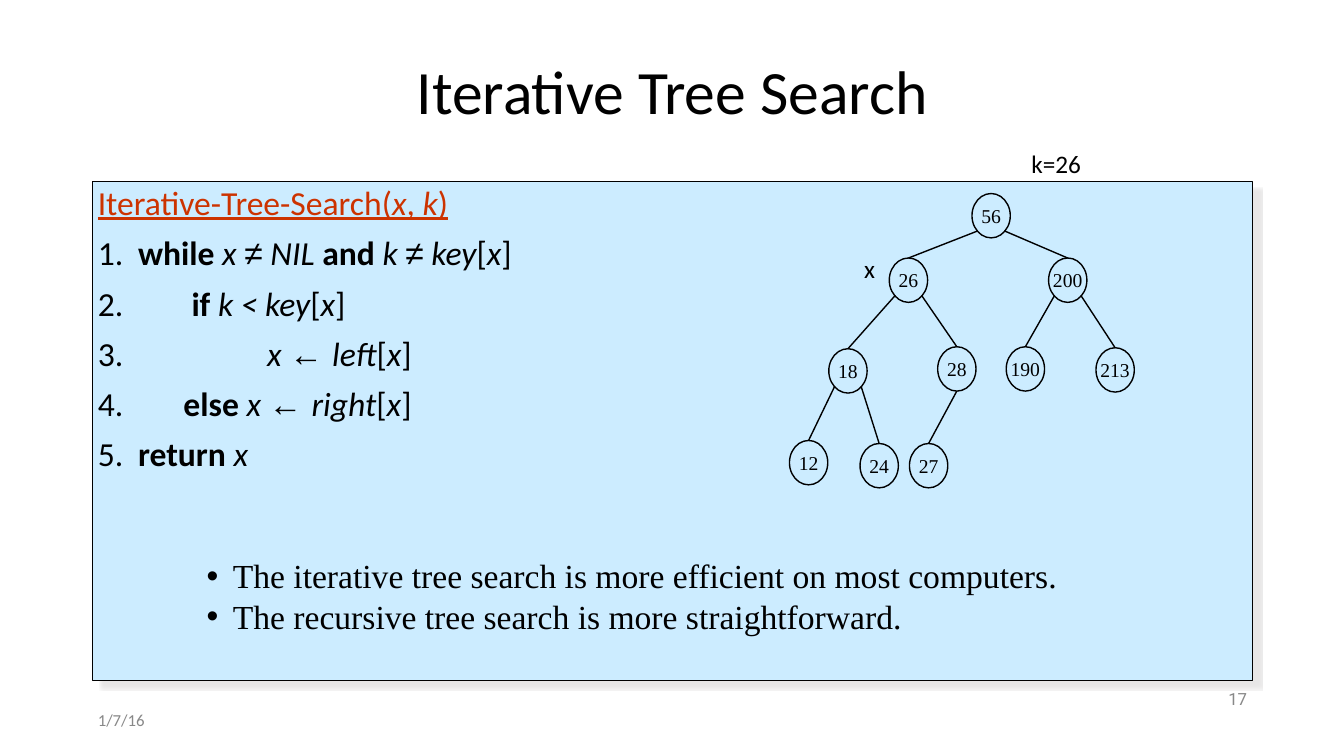
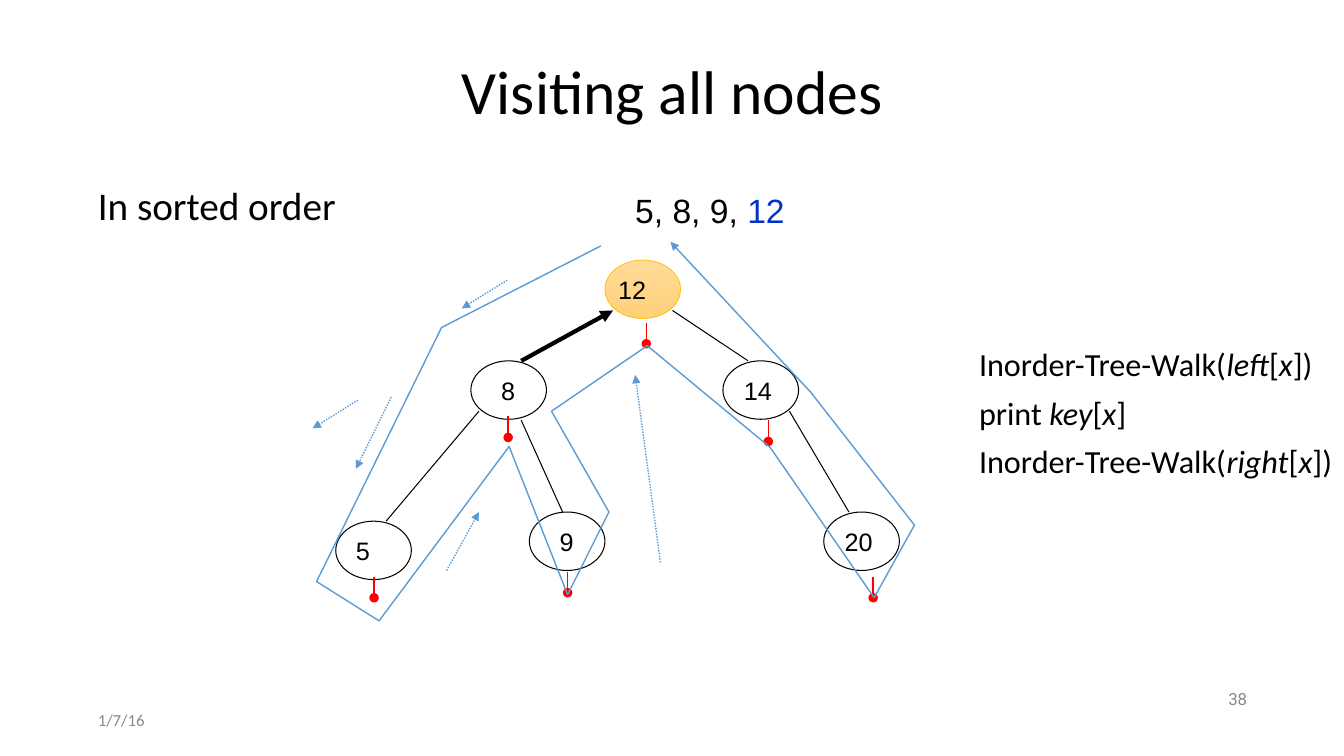
from lxml.etree import SubElement
from pptx import Presentation
from pptx.dml.color import RGBColor
from pptx.enum.dml import MSO_LINE
from pptx.enum.shapes import MSO_CONNECTOR, MSO_SHAPE
from pptx.enum.text import MSO_ANCHOR, PP_ALIGN
from pptx.oxml.ns import qn
from pptx.util import Pt

PX = 9144
BLACK = RGBColor(0x00, 0x00, 0x00)
GRAY = RGBColor(0x88, 0x88, 0x88)
PALE_BLUE = RGBColor(0xCC, 0xEC, 0xFF)
RUST = RGBColor(0xCC, 0x33, 0x00)
RED = RGBColor(0xFF, 0x00, 0x00)
DEEP_BLUE = RGBColor(0x00, 0x33, 0xCC)
ROUTE_BLUE = RGBColor(0x5B, 0x9B, 0xD5)
GOLD = RGBColor(0xFF, 0xC0, 0x00)
GOLD_TOP = RGBColor(0xFF, 0xDB, 0x9B)
GOLD_BOTTOM = RGBColor(0xFF, 0xD0, 0x78)
SANS, SERIF, ARIAL, ROBOTO = "Calibri", "Times New Roman", "Arial", "Roboto"


def px(*lengths):
    return [round(length * PX) for length in lengths]


def set_frame(shape, wrap=True, anchor=MSO_ANCHOR.TOP, insets=(5, 5, 5, 5)):
    frame = shape.text_frame
    frame.word_wrap = wrap
    frame.vertical_anchor = anchor
    (frame.margin_left, frame.margin_top,
     frame.margin_right, frame.margin_bottom) = px(*insets)
    return frame


def write(frame, lines, size, font=SANS, color=BLACK, align=PP_ALIGN.LEFT,
          spacing=None, before=0):
    for number, runs in enumerate(lines):
        paragraph = frame.add_paragraph() if number else frame.paragraphs[0]
        paragraph.alignment = align
        paragraph.space_before = Pt(before)
        if spacing:
            paragraph.line_spacing = spacing
        for text, flags, *own_color in runs:
            run = paragraph.add_run()
            run.text = text
            run.font.size = Pt(size)
            run.font.name = ARIAL if "a" in flags else font
            run.font.bold = "b" in flags
            run.font.italic = "i" in flags
            run.font.underline = "u" in flags
            run.font.color.rgb = own_color[0] if own_color else color


def add_text(slide, box, lines, size, wrap=True, anchor=MSO_ANCHOR.TOP, **style):
    textbox = slide.shapes.add_textbox(*px(*box))
    frame = set_frame(textbox, wrap, anchor)
    write(frame, lines, size, **style)
    return frame


def set_indent(paragraph, left, first, bullet=None):
    properties = paragraph._p.get_or_add_pPr()
    properties.set("marL", str(left * PX))
    properties.set("indent", str(first * PX))
    if bullet:
        SubElement(properties, qn("a:buFont")).set("typeface", ARIAL)
        SubElement(properties, qn("a:buChar")).set("char", bullet)


def add_shape(slide, kind, box, fill=None, line=BLACK, width=0.75):
    shape = slide.shapes.add_shape(kind, *px(*box))
    shape.shadow.inherit = False
    paint(shape, fill, line, width)
    return shape


def paint(shape, fill, line, width):
    if fill is None:
        shape.fill.background()
    else:
        shape.fill.solid()
        shape.fill.fore_color.rgb = fill
    shape.line.color.rgb = line
    shape.line.width = Pt(width)


def add_arrowhead(line):
    SubElement(line._get_or_add_ln(), qn("a:tailEnd")).set("type", "triangle")


def add_line(slide, start, end, color=BLACK, width=0.75, dotted=False, arrow=False):
    connector = slide.shapes.add_connector(MSO_CONNECTOR.STRAIGHT, *px(*start, *end))
    connector.line.color.rgb = color
    connector.line.width = Pt(width)
    if dotted:
        connector.line.dash_style = MSO_LINE.ROUND_DOT
    if arrow:
        add_arrowhead(connector.line)
    SubElement(connector._element.spPr, qn("a:effectLst"))
    return connector


def add_base(deck, title, number):
    slide = deck.slides.add_slide(deck.slide_layouts[6])
    add_text(slide, (92, 40, 1150, 107), [[(title, "")]], 44,
             anchor=MSO_ANCHOR.MIDDLE, align=PP_ALIGN.CENTER, spacing=0.9)
    add_text(slide, (92, 700, 300, 29), [[("1/7/16", "")]], 12,
             anchor=MSO_ANCHOR.MIDDLE, color=GRAY)
    add_text(slide, (942, 680, 300, 29), [[(number, "")]], 12, font=ROBOTO,
             anchor=MSO_ANCHOR.MIDDLE, color=GRAY, align=PP_ALIGN.RIGHT, spacing=0.9)
    return slide


def add_panel_shadow(panel):
    effects = panel._element.spPr.find(qn("a:effectLst"))
    shadow = SubElement(effects, qn("a:outerShdw"), dist="107950", dir="2700000",
                        blurRad="12700", algn="ctr", rotWithShape="0")
    SubElement(shadow, qn("a:srgbClr"), val="E7E6E6")


def add_code_panel(slide, box):
    panel = add_shape(slide, MSO_SHAPE.RECTANGLE, box, PALE_BLUE)
    add_panel_shadow(panel)
    heading = [("Iterative-Tree-Search(", "u", RUST), ("x", "iu", RUST),
               (", ", "u", RUST), ("k", "iu", RUST), (")", "u", RUST)]
    key_of_x = [("[", ""), ("x", "i"), ("]", "")]
    steps = [
        (40, [("while ", "b"), ("x ", "i"), ("≠", "a"), (" NIL ", "i"), ("and ", "b"),
              ("k ", "i"), ("≠", "a"), (" key", "i"), *key_of_x]),
        (93, [("if ", "b"), ("k < key", "i"), *key_of_x]),
        (168, [("x ", "i"), ("← ", "a"), ("left", "i"), *key_of_x]),
        (85, [("else ", "b"), ("x ", "i"), ("← ", "a"), ("right", "i"), *key_of_x]),
        (40, [("return ", "b"), ("x", "i")]),
    ]
    lines = [[(f"{number}.\t", ""), *runs]
             for number, (_, runs) in enumerate(steps, 1)]
    frame = set_frame(panel)
    write(frame, [heading, *lines], 24, spacing=0.9, before=10)
    for paragraph, (indent, _) in zip(frame.paragraphs[1:], steps):
        set_indent(paragraph, indent, -indent)


def add_remarks(slide, box):
    remarks = ["The iterative tree search is more efficient on most computers.",
               "The recursive tree search is more straightforward."]
    frame = add_text(slide, box, [[(remark, "")] for remark in remarks], 24, font=SERIF)
    for paragraph in frame.paragraphs:
        set_indent(paragraph, 26, -26, "•")


def add_search_tree(slide, left, top):
    width, height = 38, 44
    places = {"56": (181, 0), "26": (99, 64), "200": (257, 64), "18": (39, 154),
              "28": (147, 152), "190": (215, 152), "213": (304, 153),
              "12": (0, 245), "24": (70, 248), "27": (119, 248)}
    nodes = {}
    for key, (x, y) in places.items():
        node = add_shape(slide, MSO_SHAPE.OVAL, (left + x, top + y, width, height),
                         PALE_BLUE, width=1)
        frame = set_frame(node, False, MSO_ANCHOR.MIDDLE, (0, 0, 0, 0))
        write(frame, [[(key, "")]], 14, font=SERIF, align=PP_ALIGN.CENTER)
        nodes[key] = node

    exits = {"left": (6, 37), "right": (32, 37), "below": (19, 44)}
    edges = [("56", "left", "26"), ("56", "right", "200"), ("26", "left", "18"),
             ("26", "right", "28"), ("200", "left", "190"), ("200", "right", "213"),
             ("18", "left", "12"), ("18", "right", "24"), ("28", "below", "27")]
    for parent, side, child in edges:
        start = [left + places[parent][0] + exits[side][0],
                 top + places[parent][1] + exits[side][1]]
        edge = add_line(slide, start, (left + places[child][0], top), width=1)
        edge.end_connect(nodes[child], 0)

    add_text(slide, (left + 69, top + 54, 22, 41), [[("x", "")]], 18, wrap=False)
    add_text(slide, (left + 235, top - 50, 61, 41), [[("k=26", "")]], 18, wrap=False)


def add_walk_tree(slide, left, top):
    nodes = [("12", 267, 0, 2), ("8", 134, 100, 19), ("5", 0, 259, 9),
             ("9", 192, 250, 19), ("14", 384, 100, 10), ("20", 484, 250, 10)]
    for key, x, y, inset in nodes:
        node = add_shape(slide, MSO_SHAPE.OVAL, (left + x, top + y, 75, 58))
        if key == "12":
            node.fill.gradient()
            node.fill.gradient_angle = 270
            for stop, color in zip(node.fill.gradient_stops, (GOLD_TOP, GOLD_BOTTOM)):
                stop.color.rgb = color
            node.line.color.rgb = GOLD
            node.line.width = Pt(0.5)
        frame = set_frame(node, True, MSO_ANCHOR.MIDDLE, (inset, 0, 0, 0))
        write(frame, [[(key, "")]], 18, font=ARIAL)

    edges = [(50, 259, 142, 150), (184, 159, 225, 250),
             (334, 50, 409, 100), (450, 150, 509, 250)]
    for x1, y1, x2, y2 in edges:
        add_line(slide, (left + x1, top + y1), (left + x2, top + y2))
    add_line(slide, (left + 184, top + 100), (left + 275, top + 50), width=3, arrow=True)

    pins = [(308, 62), (171, 155), (230, 309), (38, 314), (429, 159), (533, 314)]
    for x, y in pins:
        add_line(slide, (left + x, top + y), (left + x, top + y + 17), RED, 1)
        add_shape(slide, MSO_SHAPE.OVAL, (left + x - 4, top + y + 17, 8, 8), RED, RED, 1)


def add_walk_route(slide, left, top):
    hints = [(41, 157, -4, 185), (341, 318, 316, 132), (189, 38, 144, 66),
             (74, 154, 39, 225), (129, 326, 161, 268)]
    for x1, y1, x2, y2 in hints:
        add_line(slide, (left + x1, top + y1), (left + x2, top + y2),
                 ROUTE_BLUE, 1, dotted=True, arrow=True)
    turns = [(282, 4), (124, 85), (0, 337), (62, 376), (191, 203), (249, 350),
             (290, 268), (233, 168), (328, 103), (450, 204), (553, 353),
             (593, 281), (490, 149), (351, 0)]
    points = [px(left + x, top + y) for x, y in turns]
    builder = slide.shapes.build_freeform(*points[0])
    builder.add_line_segments(points[1:], close=False)
    route = builder.convert_to_shape()
    route.shadow.inherit = False
    paint(route, None, ROUTE_BLUE, 1)
    add_arrowhead(route.line)


def add_walk_code(slide, box):
    def call(side):
        return [("Inorder-Tree-Walk(", ""), (side, "i"), ("[", ""), ("x", "i"), ("])", "")]

    show = [("print ", ""), ("key", "i"), ("[", ""), ("x", "i"), ("]", "")]
    add_text(slide, box, [call("left"), show, call("right")], 23,
             wrap=False, spacing=0.9, before=10)


def build_search_slide(deck):
    slide = add_base(deck, "Iterative Tree Search", "17")
    add_code_panel(slide, (92, 180, 1150, 495))
    add_remarks(slide, (200, 546, 917, 84))
    add_search_tree(slide, 783, 192)


def build_walk_slide(deck):
    slide = add_base(deck, "Visiting all nodes", "38")
    add_text(slide, (92, 180, 280, 72), [[("In sorted order", "")]], 28,
             spacing=0.9, before=10)
    add_text(slide, (625, 183, 442, 48), [[("5, 8, 9, ", ""), ("12", "", DEEP_BLUE)]],
             24, font=ARIAL, before=14)
    add_walk_tree(slide, 333, 258)
    add_walk_code(slide, (966, 341, 361, 147))
    add_walk_route(slide, 314, 240)


def main():
    deck = Presentation()
    deck.slide_width, deck.slide_height = px(1333, 750)
    build_search_slide(deck)
    build_walk_slide(deck)
    deck.save("out.pptx")


if __name__ == "__main__":
    main()
